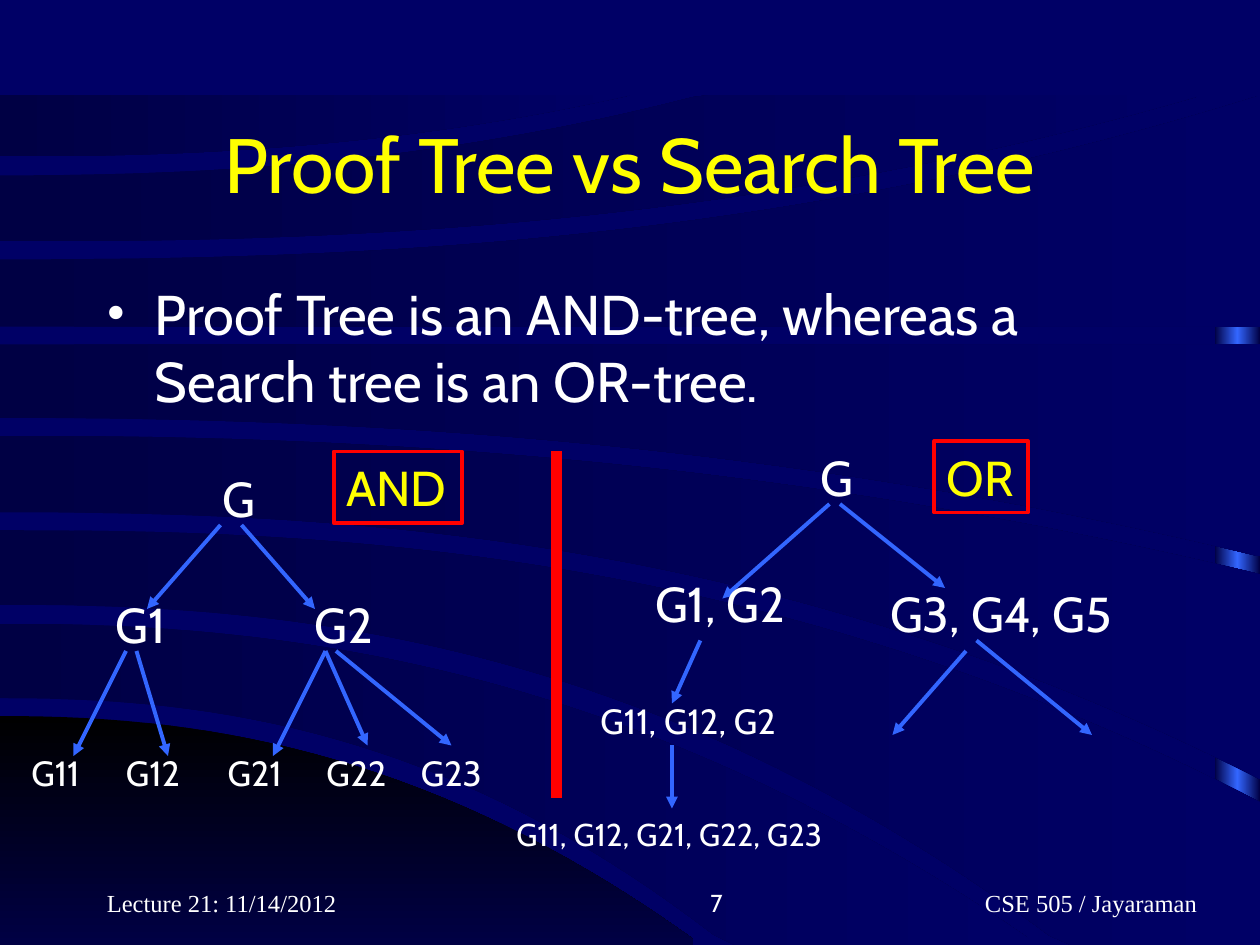
from copy import deepcopy

from lxml.etree import SubElement
from pptx import Presentation
from pptx.dml.color import RGBColor
from pptx.enum.shapes import MSO_CONNECTOR, MSO_SHAPE
from pptx.enum.text import MSO_ANCHOR, PP_ALIGN
from pptx.oxml.ns import qn
from pptx.util import Inches, Pt

COLS, ROWS = 120, 90
TOP = 9
CELL = Inches(10) / COLS
COLORS = {
    "back": "000066", "deep": "000044", "black": "000000", "blue": "3366FF",
    "red": "FF0000", "gold": "FFFF00", "white": "FFFFFF",
}
FLAT = 0, 1
BANDS = [
    ((68.2, 81, 2.24), (ROWS, *FLAT)),
    ((59.4, 47.3, 2.25), (66.5, 84.7, 2.33)),
    ((50.5, 25.9, 2.4), (57.6, 48.4, 2.35)),
    ((41.5, 13.2, 2.2), (48.8, 25.4, 2.4)),
    ((32.8, *FLAT), (39.8, 13.2, 2.2)),
    ((24.7, -15.6, 2.4), (31.1, *FLAT)),
    ((16.7, -29.3, 2.29), (23, -15.6, 2.4)),
    ((TOP, *FLAT), (14.9, -29.3, 2.33)),
]
NODES = [
    ("G", 20, 44, 5.5, 28), ("G1", 9.8, 56, 8.4, 28), ("G2", 28.8, 56, 8.4, 28),
    ("G", 77, 42, 5.5, 28), ("G1, G2", 61.2, 54, 16.9, 28),
    ("G3, G4, G5", 83.6, 55, 25.4, 28),
]
LEAVES = {"G11": 1.8, "G12": 10.8, "G21": 20.5, "G22": 29.9, "G23": 38.9}
GOALS = [
    ("G11, G12, G2", 56, 66, 23, 20),
    ("G11, G12, G21, G22, G23", 48, 77, 37, 18),
]
TAGS = [("AND", 31.8, 43, 12.2, 28), ("OR", 89, 42, 8.9, 28)]
ARROWS = [
    (21, 50, 14, 58), (23, 50, 30, 58),
    (12, 62, 7, 72), (13, 62, 16, 72),
    (31, 62, 26, 72), (31, 62, 35, 71), (32, 62, 43, 71),
    (79, 48, 68.8, 57), (80, 48, 90, 56),
    (66.7, 61, 64, 67), (92, 62, 85, 70), (93, 61, 104, 70),
    (64, 71, 64, 77),
]


def grid(*cells):
    return [round(c * CELL) for c in cells]


def rgb(name):
    return RGBColor.from_string(COLORS[name])


def blend(shape, names, angle=0):
    shape.shadow.inherit = False
    shape.line.fill.background()
    shape.fill.gradient()
    shape.fill.gradient_angle = angle
    stops = shape._element.spPr.find(".//" + qn("a:gsLst"))
    while len(stops) < len(names):
        stops.append(deepcopy(stops[-1]))
    for i, (stop, name) in enumerate(zip(shape.fill.gradient_stops, names)):
        stop.color.rgb = rgb(name)
        stop.position = i / (len(names) - 1)


def edge(curve, x):
    start, drop, power = curve
    return min(max(start + drop * (x / COLS) ** power, TOP), ROWS)


def band(slide, upper, lower, names, angle=0):
    xs = [x for x in range(0, COLS + 1, 2) if edge(upper, x) < edge(lower, x)]
    points = [grid(x, edge(upper, x)) for x in xs]
    points += [grid(x, edge(lower, x)) for x in reversed(xs)]
    form = slide.shapes.build_freeform(*points[0])
    form.add_line_segments(points[1:])
    blend(form.convert_to_shape(), names, angle)


def write(shape, text, size, color="white", font="Cabin", align=PP_ALIGN.LEFT,
          anchor=MSO_ANCHOR.TOP, wrap=True):
    frame = shape.text_frame
    frame.text = text
    frame.word_wrap = wrap
    frame.vertical_anchor = anchor
    para = frame.paragraphs[0]
    para.alignment = align
    style = para.runs[0].font
    style.name, style.size, style.color.rgb = font, Pt(size), rgb(color)
    return para


def head(slide, text):
    title = slide.shapes.title
    title.left, title.top, title.width, title.height = grid(9, 8, 102, 15)
    write(title, text, 44, "gold", align=PP_ALIGN.CENTER,
          anchor=MSO_ANCHOR.MIDDLE)
    title._element.getparent().append(title._element)


def node(slide, text, x, y, wide, size, wrap=False):
    box = slide.shapes.add_textbox(*grid(x, y, wide, size * 0.19 + 1.5))
    write(box, text, size, wrap=wrap)


def tag(slide, text, x, y, wide, size):
    box = slide.shapes.add_shape(
        MSO_SHAPE.RECTANGLE, *grid(x, y, wide, size * 0.19 + 1.5))
    box.shadow.inherit = False
    box.fill.background()
    box.line.color.rgb, box.line.width = rgb("red"), Pt(2.25)
    write(box, text, size, "gold", wrap=False)


def line(slide, ends, color, width, arrow=False):
    link = slide.shapes.add_connector(MSO_CONNECTOR.STRAIGHT, *grid(*ends))
    link.line.color.rgb, link.line.width = rgb(color), Pt(width)
    props = link._element.spPr
    if arrow:
        SubElement(props.find(qn("a:ln")), qn("a:tailEnd"), type="triangle")
    SubElement(props, qn("a:effectLst"))


def bullet(slide, text):
    box = slide.shapes.add_textbox(*grid(9, 26, 102, 15))
    para = write(box, text, 32)
    para.space_before = Pt(8)
    props = para._p.get_or_add_pPr()
    props.set("marL", str(Inches(0.38)))
    props.set("indent", str(-Inches(0.38)))
    SubElement(props, qn("a:buFont"), typeface="Times New Roman")
    SubElement(props, qn("a:buChar"), char="•")


def footer(slide, text, x, wide, align, font="Times New Roman"):
    box = slide.shapes.add_textbox(*grid(x, 82, wide, 6))
    write(box, text, 14, font=font, align=align, anchor=MSO_ANCHOR.BOTTOM)


def backdrop(slide):
    slide.background.fill.solid()
    slide.background.fill.fore_color.rgb = rgb("back")
    strip = slide.shapes.add_shape(
        MSO_SHAPE.RECTANGLE, *grid(115.7, 25, 4.3, ROWS - 25))
    blend(strip, ["deep", "blue", "deep"])
    band(slide, *BANDS[0], ["black", "deep"], 270)
    for upper, lower in BANDS[1:]:
        band(slide, upper, lower, ["deep", "back"])


def main():
    deck = Presentation()
    deck.slide_width, deck.slide_height = grid(COLS, ROWS)
    slide = deck.slides.add_slide(deck.slide_layouts[5])
    backdrop(slide)
    head(slide, "Proof Tree vs Search Tree")
    bullet(slide, "Proof Tree is an AND-tree, whereas a Search tree is an OR-tree.")

    line(slide, (53, 43, 53, 76), "red", 6)
    for ends in ARROWS:
        line(slide, ends, "blue", 2.25, arrow=True)
    for item in NODES:
        node(slide, *item)
    for text, x in LEAVES.items():
        node(slide, text, x, 71, 8.6, 20)
    for item in GOALS:
        node(slide, *item, wrap=True)
    for item in TAGS:
        tag(slide, *item)

    footer(slide, "Lecture 21: 11/14/2012", 9, 25, PP_ALIGN.LEFT)
    footer(slide, "7", 45, 25, PP_ALIGN.RIGHT, "Cabin")
    footer(slide, "CSE 505 / Jayaraman", 79, 36.2, PP_ALIGN.RIGHT)
    deck.save("out.pptx")


if __name__ == "__main__":
    main()
